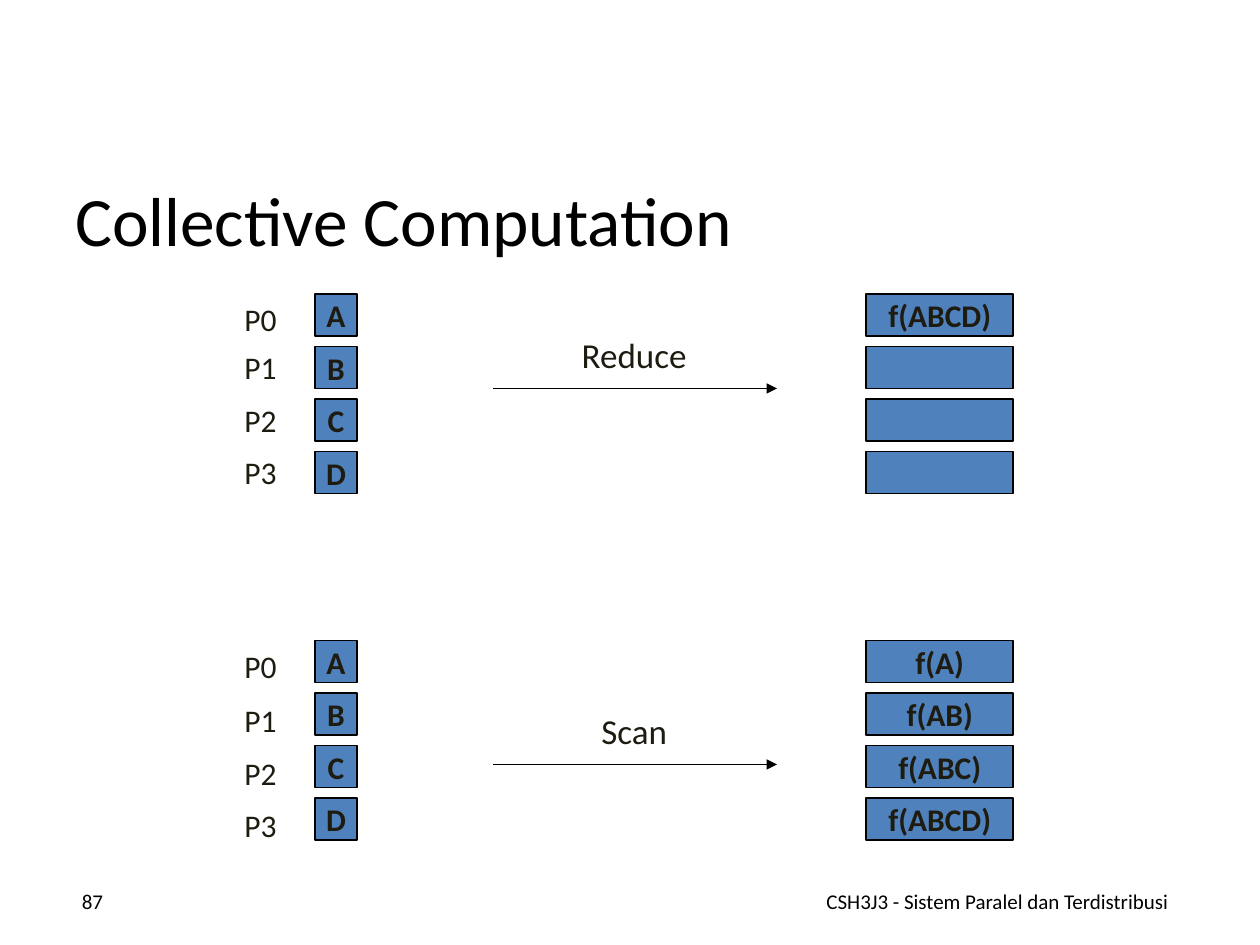
from dataclasses import dataclass

from lxml.etree import SubElement
from pptx import Presentation
from pptx.dml.color import RGBColor
from pptx.enum.shapes import MSO_CONNECTOR as Connector, MSO_SHAPE as Shape
from pptx.enum.text import MSO_ANCHOR as Anchor, MSO_AUTO_SIZE as AutoSize, PP_ALIGN as Align
from pptx.oxml.ns import qn
from pptx.util import Inches, Pt


@dataclass(frozen=True)
class Theme:
    font: str = "Calibri"
    black: str = "000000"
    ink: str = "1E1C11"
    fill: str = "4F81BD"
    title_size: float = 39.6
    caption_size: float = 20
    body_size: float = 18
    footer_size: float = 12
    line_width: float = 1


THEME = Theme()
COLUMNS, ROWS = 120, 90
BOX_HEIGHT, BOX_PITCH = 4, 5
SOURCES = ["A", "B", "C", "D"]
OPERATIONS = [
    ("Reduce", 28, 37, [28, 32.6, 37.6, 42.6], ["f(ABCD)", "", "", ""]),
    ("Scan", 61, 72.8, [61, 66.2, 71.2, 76.2], ["f(A)", "f(AB)", "f(ABC)", "f(ABCD)"]),
]


def write_text(shape, text, size=THEME.body_size, color=THEME.ink, bold=False,
               align=Align.CENTER, anchor=Anchor.TOP, wrap=False, grow=False):
    frame = shape.text_frame
    frame.word_wrap = wrap
    frame.vertical_anchor = anchor
    frame.auto_size = AutoSize.SHAPE_TO_FIT_TEXT if grow else AutoSize.NONE
    paragraph = frame.paragraphs[0]
    paragraph.alignment = align
    run = paragraph.add_run()
    run.text = text
    run.font.name = THEME.font
    run.font.size = Pt(size)
    run.font.bold = bold
    run.font.color.rgb = RGBColor.from_string(color)


class SlideBuilder:
    def __init__(self, presentation, theme):
        self.theme = theme
        self.slide = presentation.slides.add_slide(presentation.slide_layouts[6])
        self.column = presentation.slide_width / COLUMNS
        self.row = presentation.slide_height / ROWS

    def place(self, left, top, width, height):
        return (round(left * self.column), round(top * self.row),
                round(width * self.column), round(height * self.row))

    def outline(self, shape):
        shape.line.color.rgb = RGBColor.from_string(self.theme.black)
        shape.line.width = Pt(self.theme.line_width)

    def text(self, text, area, **style):
        write_text(self.slide.shapes.add_textbox(*self.place(*area)), text, **style)

    def box(self, text, area):
        shape = self.slide.shapes.add_shape(Shape.RECTANGLE, *self.place(*area))
        shape.shadow.inherit = False
        shape.fill.solid()
        shape.fill.fore_color.rgb = RGBColor.from_string(self.theme.fill)
        self.outline(shape)
        if text:
            write_text(shape, text, bold=True, anchor=Anchor.MIDDLE)

    def stack(self, texts, left, top, width):
        for index, text in enumerate(texts):
            self.box(text, (left, top + index * BOX_PITCH, width, BOX_HEIGHT))

    def arrow(self, left, right, top):
        start_x, y, end_x, _ = self.place(left, top, right, 0)
        connector = self.slide.shapes.add_connector(Connector.STRAIGHT, start_x, y, end_x, y)
        self.outline(connector)
        SubElement(connector.line._get_or_add_ln(), qn("a:tailEnd"), type="triangle")
        SubElement(connector._element.spPr, qn("a:effectLst"))

    def operation(self, name, top, arrow_row, label_rows, results):
        for index, label_row in enumerate(label_rows):
            self.text(f"P{index}", (22, label_row, 5.6, 4.8), grow=True)
        self.stack(SOURCES, 30, top, 4)
        self.stack(results, 82.5, top, 14)
        self.arrow(47, 74, arrow_row)
        self.text(name, (54.2, arrow_row - 5.8, 12.4, 5.2),
                  size=self.theme.caption_size, grow=True)


def main():
    presentation = Presentation()
    presentation.slide_width, presentation.slide_height = Inches(10), Inches(7.5)
    builder = SlideBuilder(presentation, THEME)
    framing = {"color": THEME.black, "anchor": Anchor.MIDDLE, "wrap": True}
    builder.text("Collective Computation", (6, 17, 108, 7.6),
                 size=THEME.title_size, align=Align.LEFT, **framing)
    builder.text("CSH3J3 - Sistem Paralel dan Terdistribusi", (76, 83.4, 38, 4.8),
                 size=THEME.footer_size, **framing)
    builder.text("87", (4, 83.4, 7, 4.8),
                 size=THEME.footer_size, align=Align.RIGHT, **framing)
    for operation in OPERATIONS:
        builder.operation(*operation)
    presentation.save("out.pptx")


if __name__ == "__main__":
    main()
